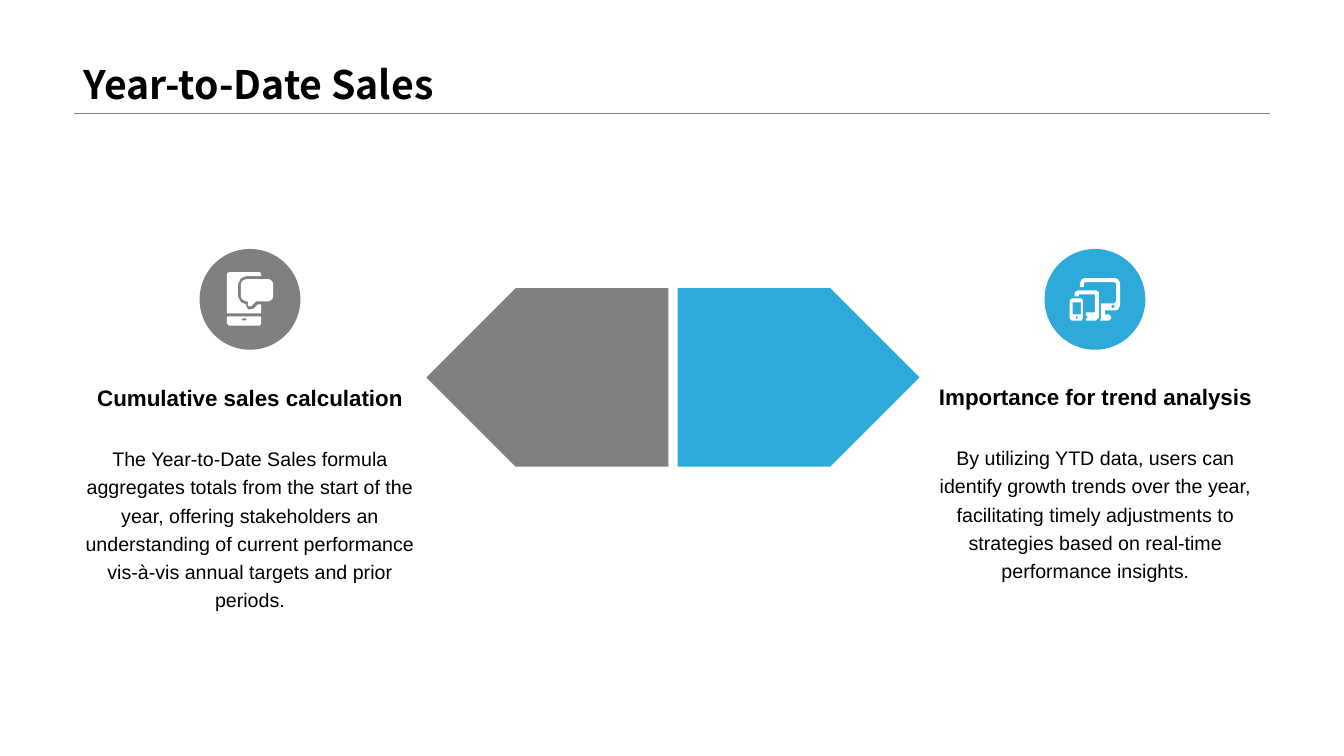
from dataclasses import dataclass

from lxml.etree import SubElement
from pptx import Presentation
from pptx.dml.color import RGBColor
from pptx.enum.shapes import MSO_CONNECTOR as Connector, MSO_SHAPE as Shape
from pptx.enum.text import MSO_ANCHOR as Anchor, MSO_AUTO_SIZE as AutoSize, PP_ALIGN as Align
from pptx.oxml.ns import qn
from pptx.util import Pt

PX = 9144


@dataclass(frozen=True)
class Theme:
    gray: str = "808080"
    blue: str = "2EAADA"
    white: str = "FFFFFF"
    ink: str = "000000"
    title_font: str = "Noto Sans CJK SC"
    text_font: str = "Arial"
    title_size: int = 28
    heading_size: int = 16
    body_size: int = 14


def rectangle(left, top, right, bottom):
    return [(left, top), (right, top), (right, bottom), (left, bottom)]


def diamond(x, y, rx, ry):
    return [(x, y - ry), (x + rx, y), (x, y + ry), (x - rx, y)]


DEVICES_ICON = [
    diamond(1068, 315, 1, 2),
    diamond(1104, 304, 2, 2),
    rectangle(1064, 300, 1072, 312),
    [(1063, 296), (1073, 296), (1074, 298), (1074, 316), (1073, 318), (1063, 318),
     (1061, 316), (1061, 298)],
    [(1069, 288), (1087, 288), (1090, 290), (1090, 315), (1087, 318), (1077, 318),
     (1077, 316), (1079, 315), (1078, 313), (1077, 314), (1077, 310), (1086, 310),
     (1086, 292), (1070, 292), (1070, 294), (1066, 294), (1066, 290)],
    [(1076, 276), (1106, 276), (1109, 277), (1111, 281), (1111, 303), (1109, 307),
     (1106, 308), (1096, 308), (1096, 312), (1100, 312), (1102, 314), (1102, 316),
     (1100, 318), (1091, 318), (1092, 316), (1092, 301), (1105, 301), (1107, 299),
     (1107, 281), (1105, 280), (1077, 280), (1075, 281), (1075, 285), (1071, 285),
     (1071, 281), (1073, 277)],
]

MESSAGE_ICON = [
    [(241, 316), (244, 316), (245, 317), (244, 318), (241, 318), (239, 317)],
    [(225, 314), (259, 314), (259, 321), (258, 323), (227, 323), (225, 321)],
    [(244, 277), (267, 277), (270, 279), (271, 282), (271, 294), (270, 297),
     (267, 299), (254, 299), (249, 304), (247, 304), (246, 303), (246, 299),
     (244, 299), (240, 297), (239, 294), (239, 282), (240, 279)],
    [(227, 270), (258, 270), (259, 272), (259, 274), (244, 274), (239, 276),
     (236, 282), (236, 294), (239, 300), (244, 302), (244, 303), (246, 307),
     (248, 307), (252, 306), (256, 302), (259, 302), (259, 311), (225, 311),
     (225, 272)],
]


class SlideBuilder:
    def __init__(self, page, theme):
        self.page = page
        self.theme = theme

    def color(self, value):
        return RGBColor.from_string(value)

    def place(self, item, left, top, width, height):
        item.left, item.top = left * PX, top * PX
        item.width, item.height = width * PX, height * PX

    def paint(self, item, fill):
        item.shadow.inherit = False
        item.fill.solid()
        item.fill.fore_color.rgb = self.color(fill)
        item.line.fill.background()

    def add_words(self, frame, text, size, font, bold, align, spacing):
        para = frame.paragraphs[0]
        para.alignment = align
        para.line_spacing = spacing
        span = para.add_run()
        span.text = text
        span.font.size = Pt(size)
        span.font.name = font
        span.font.bold = bold
        span.font.color.rgb = self.color(self.theme.ink)

    def title(self, text, *bounds):
        box = self.page.shapes.title
        self.place(box, *bounds)
        frame = box.text_frame
        frame.auto_size = AutoSize.NONE
        frame.vertical_anchor = Anchor.BOTTOM
        self.add_words(frame, text, self.theme.title_size, self.theme.title_font,
                       True, Align.LEFT, 0.9)

    def rule(self, left, right, y):
        line = self.page.shapes.add_connector(
            Connector.STRAIGHT, left * PX, y * PX, right * PX, y * PX)
        line.line.color.rgb = self.color(self.theme.gray)
        line.line.width = Pt(0.25)
        SubElement(line.element.spPr, qn("a:effectLst"))

    def shape(self, kind, fill, *bounds, flipped=False):
        item = self.page.shapes.add_shape(kind, *(length * PX for length in bounds))
        self.paint(item, fill)
        if flipped:
            item.element.spPr.get_or_add_xfrm().set("flipH", "1")

    def icon(self, contours):
        start = contours[0][0]
        builder = self.page.shapes.build_freeform(*start, scale=PX)
        for contour in contours:
            if contour[0] != start:
                builder.move_to(*contour[0])
            builder.add_line_segments(contour[1:], close=True)
        self.paint(builder.convert_to_shape(), self.theme.white)

    def text(self, text, size, *bounds, bold=False, spacing=1.0, anchor=Anchor.TOP):
        box = self.page.shapes.add_textbox(*(length * PX for length in bounds))
        frame = box.text_frame
        frame.word_wrap = True
        frame.auto_size = AutoSize.SHAPE_TO_FIT_TEXT
        frame.vertical_anchor = anchor
        self.add_words(frame, text, size, self.theme.text_font, bold, Align.CENTER,
                       spacing)

    def topic(self, heading, body, left, top, width, body_height):
        self.text(heading, self.theme.heading_size, left, top, width, 37,
                  bold=True, anchor=Anchor.MIDDLE)
        self.text(body, self.theme.body_size, left, top + 58, width, body_height,
                  spacing=1.2)


def main():
    deck = Presentation()
    deck.slide_width, deck.slide_height = 1333 * PX, 750 * PX
    theme = Theme()
    slide = SlideBuilder(deck.slides.add_slide(deck.slide_layouts[5]), theme)

    slide.rule(73, 1260, 112)
    slide.title("Year-to-Date Sales", 73, 0, 1187, 112)
    slide.shape(Shape.PENTAGON, theme.blue, 672, 286, 240, 177)
    slide.shape(Shape.PENTAGON, theme.gray, 423, 286, 240, 177, flipped=True)

    for left, fill, contours in ((1036, theme.blue, DEVICES_ICON),
                                 (198, theme.gray, MESSAGE_ICON)):
        slide.shape(Shape.OVAL, fill, left, 247, 100, 100)
        slide.icon(contours)

    slide.topic(
        "Cumulative sales calculation",
        "The Year-to-Date Sales formula aggregates totals from the start of the year, "
        "offering stakeholders an understanding of current performance vis-à-vis "
        "annual targets and prior periods.",
        73, 376, 350, 123)
    slide.topic(
        "Importance for trend analysis",
        "By utilizing YTD data, users can identify growth trends over the year, "
        "facilitating timely adjustments to strategies based on real-time "
        "performance insights.",
        913, 375, 347, 95)

    deck.save("out.pptx")


if __name__ == "__main__":
    main()
